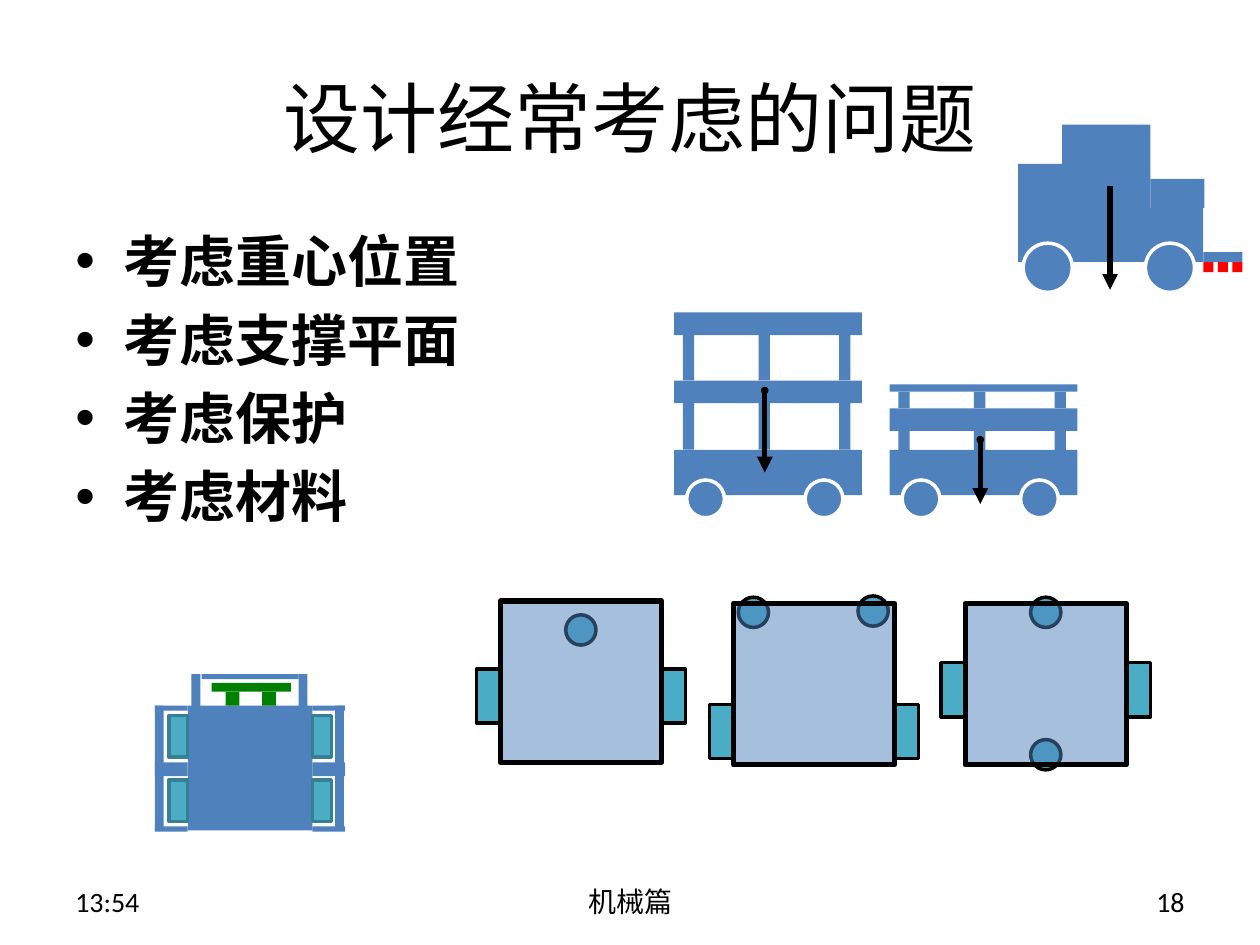
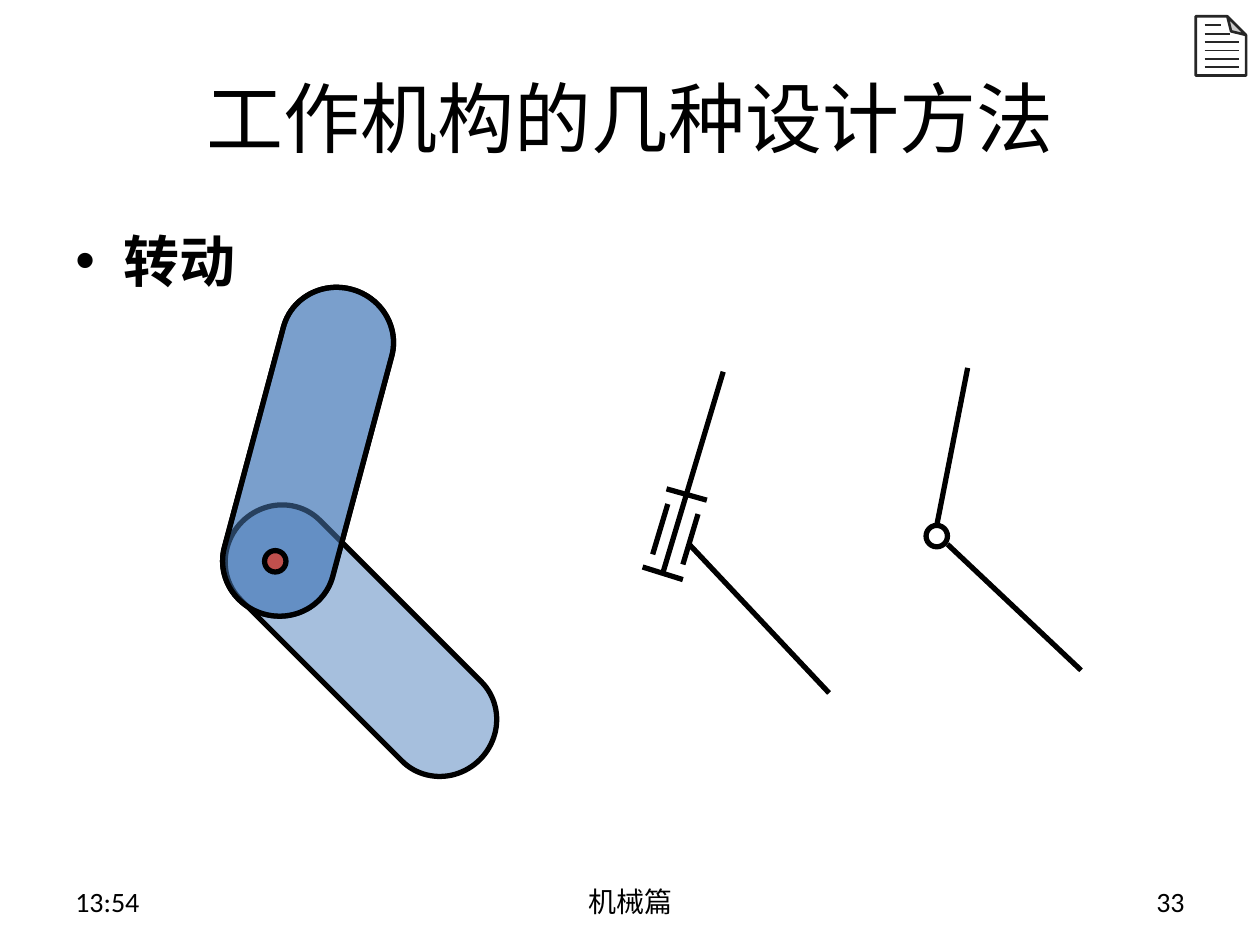
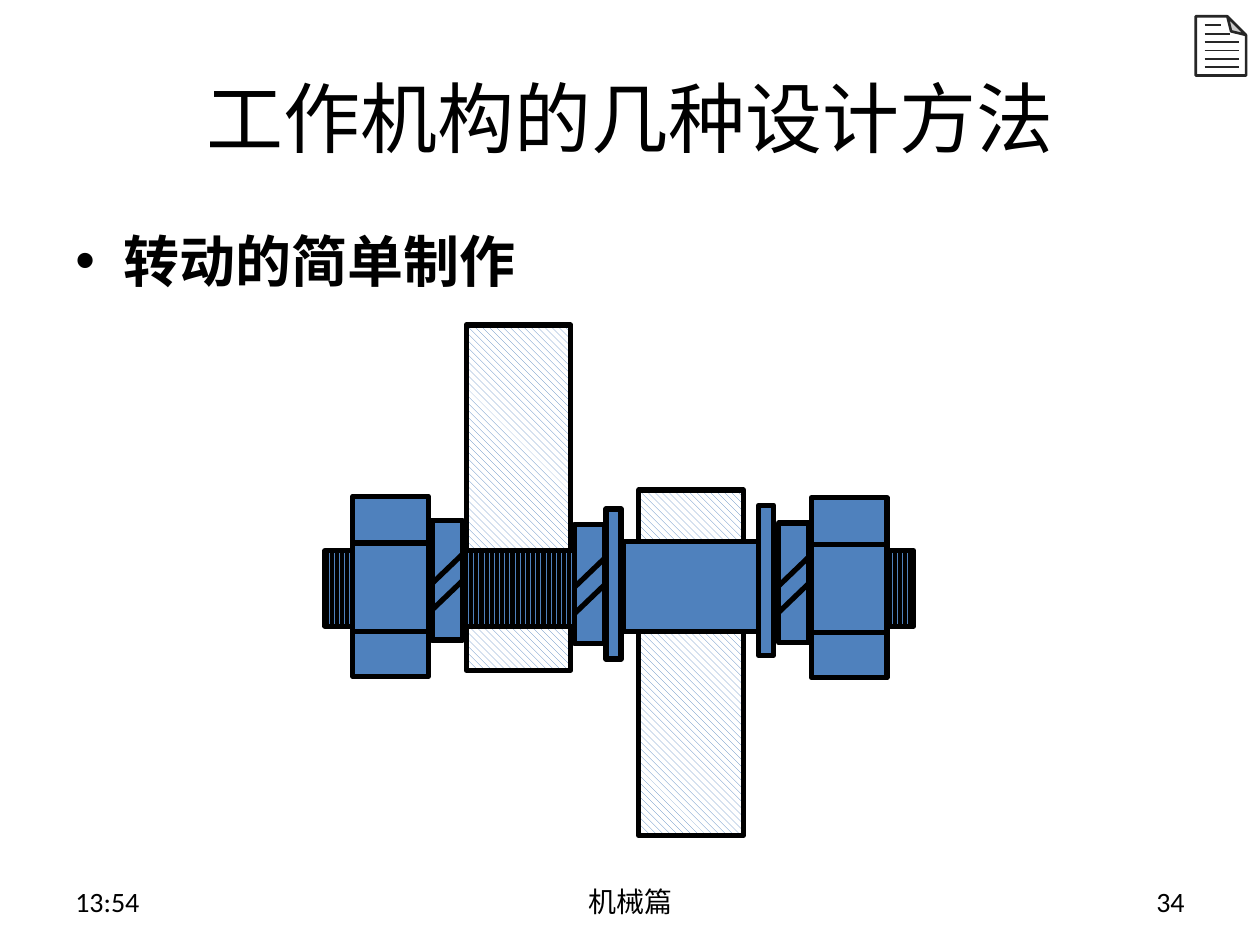
import pptx
import pptx.util
import pptx.dml.color
import pptx.enum.dml
import pptx.enum.shapes
import pptx.enum.text
import pptx.oxml.ns
import lxml.etree

RGBColor = pptx.dml.color.RGBColor
BLUE = RGBColor(0x4F, 0x81, 0xBD)
TEAL = RGBColor(0x4B, 0xAC, 0xC6)
DARK_TEAL = RGBColor(0x37, 0x7F, 0x92)
RED = RGBColor(0xFF, 0x00, 0x00)
BRICK = RGBColor(0xC0, 0x50, 0x4D)
GREEN = RGBColor(0x00, 0x80, 0x00)
INK = RGBColor(0x26, 0x26, 0x26)
BLACK = RGBColor(0x00, 0x00, 0x00)
WHITE = RGBColor(0xFF, 0xFF, 0xFF)

MSO = pptx.enum.shapes.MSO_SHAPE
PATTERN = pptx.enum.dml.MSO_PATTERN
ALIGN = pptx.enum.text.PP_ALIGN
MIDDLE = pptx.enum.text.MSO_ANCHOR.MIDDLE
RECT, OVAL = MSO.RECTANGLE, MSO.OVAL
Inches, Pt, qn = pptx.util.Inches, pptx.util.Pt, pptx.oxml.ns.qn

W, H = 10, 7.5
MARGIN = W * 0.05
INNER = W - 2 * MARGIN
TITLE_FONT, BODY_FONT = "Noto Sans CJK SC", "Calibri"


def box(shapes, kind, x, y, w, h, fill=BLUE, line=None, width=2, alpha=None):
    """Add a preset shape; fill is a colour, None, or (pattern, fore, back)."""
    sp = shapes.add_shape(kind, Inches(x), Inches(y), Inches(w), Inches(h))
    sp.shadow.inherit = False
    if fill is None:
        sp.fill.background()
    elif isinstance(fill, RGBColor):
        sp.fill.solid()
        sp.fill.fore_color.rgb = fill
    else:
        sp.fill.patterned()
        sp.fill.pattern, sp.fill.fore_color.rgb, sp.fill.back_color.rgb = fill
    if alpha is not None:
        clr = sp._element.spPr.find(qn("a:solidFill"))[0]
        lxml.etree.SubElement(clr, qn("a:alpha")).set("val", str(alpha * 1000))
    if line is None:
        sp.line.fill.background()
    else:
        sp.line.color.rgb = line
        sp.line.width = Pt(width)
    return sp


def stroke(shapes, x1, y1, x2, y2, color=BLACK, width=3, arrow=False):
    """Add a straight line, with an arrowhead at its end if asked."""
    cx = shapes.add_connector(pptx.enum.shapes.MSO_CONNECTOR.STRAIGHT,
                              Inches(x1), Inches(y1), Inches(x2), Inches(y2))
    cx.line.color.rgb = color
    cx.line.width = Pt(width)
    if arrow:
        ln = cx.line._get_or_add_ln()
        lxml.etree.SubElement(ln, qn("a:tailEnd")).set("type", "triangle")
    lxml.etree.SubElement(cx._element.spPr, qn("a:effectLst"))
    return cx


prs = pptx.Presentation()
prs.slide_width, prs.slide_height = Inches(W), Inches(H)

# Title, bullets and footer of every slide
METHODS = "工作机构的几种设计方法"
PAGES = [
    ("设计经常考虑的问题", ["考虑重心位置", "考虑支撑平面", "考虑保护", "考虑材料"], "18"),
    (METHODS, ["转动"], "33"),
    (METHODS, ["转动的简单制作"], "34"),
]
for title, bullets, number in PAGES:
    s = prs.slides.add_slide(prs.slide_layouts[5])
    sp = s.shapes.title
    sp.left, sp.top = Inches(MARGIN), Inches(H * 0.04)
    sp.width, sp.height = Inches(INNER), Inches(H / 6)
    tf = sp.text_frame
    tf.text = title
    tf.vertical_anchor = MIDDLE
    p = tf.paragraphs[0]
    p.alignment = ALIGN.CENTER
    r = p.runs[0]
    r.font.size, r.font.name, r.font.color.rgb = Pt(44), TITLE_FONT, BLACK
    lxml.etree.SubElement(r._r.get_or_add_rPr(), qn("a:ea")).set("typeface", TITLE_FONT)

    sp = s.shapes.add_textbox(Inches(MARGIN), Inches(1.75), Inches(INNER), Inches(H * 0.66))
    tf = sp.text_frame
    tf.word_wrap = True
    tf.text = "\n".join(bullets)
    for i, p in enumerate(tf.paragraphs):
        p.space_before = Pt(6.4 if i else 0)
        pPr = p._p.get_or_add_pPr()
        pPr.set("marL", str(Inches(0.38)))
        pPr.set("indent", str(-Inches(0.38)))
        lxml.etree.SubElement(pPr, qn("a:buFont")).set("typeface", "Arial")
        lxml.etree.SubElement(pPr, qn("a:buChar")).set("char", "•")
        f = p.runs[0].font
        f.size, f.name, f.bold, f.color.rgb = Pt(32), BODY_FONT, True, BLACK

    for text, x, w, align in [("13:54", MARGIN, 2.33, ALIGN.LEFT),
                              ("机械篇", 3.42, 3.17, ALIGN.CENTER),
                              (number, W - MARGIN - 2.33, 2.33, ALIGN.RIGHT)]:
        sp = s.shapes.add_textbox(Inches(x), Inches(6.95), Inches(w), Inches(0.4))
        tf = sp.text_frame
        tf.word_wrap = True
        tf.vertical_anchor = MIDDLE
        tf.text = text
        p = tf.paragraphs[0]
        p.alignment = align
        f = p.runs[0].font
        f.size, f.name, f.color.rgb = Pt(16), BODY_FONT, BLACK

considerations, rotation, making = prs.slides

# Truck with a bumper
g = considerations.shapes.add_group_shape().shapes
box(g, RECT, 8.08, 1.65, 1.47, 0.43)
for x in (8.12, 9.09):
    box(g, OVAL, x, 1.93, 0.39, 0.39, BLUE, WHITE)
box(g, RECT, 8.43, 0.99, 0.7, 0.66)
for i in range(3):
    box(g, RECT, 9.55 + 0.115 * i, 2.08, 0.08, 0.08, RED)
box(g, RECT, 9.13, 1.42, 0.43, 0.23)
box(g, RECT, 9.55, 2, 0.31, 0.08)
box(g, RECT, 8.08, 1.3, 0.35, 0.35)
stroke(g, 8.81, 1.48, 8.81, 2.3, arrow=True)

# High and low wagons with their centres of gravity
CHASSIS = 3.57
for x, decks, y1, y2 in [(5.35, [(3.02, 0.18), (2.48, 0.18)], 3.12, 3.75),
                         (7.06, [(3.24, 0.18), (3.05, 0.06)], 3.51, 4)]:
    g = considerations.shapes.add_group_shape().shapes
    box(g, RECT, x, CHASSIS, 1.49, 0.36)
    for dx in (0.1, 1.04):
        box(g, OVAL, x + dx, 3.81, 0.3, 0.3, BLUE, WHITE)
    floor = CHASSIS
    for y, h in decks:
        box(g, RECT, x, y, 1.49, h)
        for dx in (0.07, 0.67, 1.31):
            box(g, RECT, x + dx, y + h, 0.09, floor - y - h)
        floor = y
    stroke(g, x + 0.72, y1, x + 0.72, y2, arrow=True)
    box(g, OVAL, x + 0.69, y1 - 0.05, 0.06, 0.06, BLACK)

# Three wheel arrangements seen from above
SIDE = 1.28
for x, y, wheel_y, casters in [
        (3.97, 4.77, 5.31, [(4.49, 4.88)]),
        (5.82, 4.79, 5.59, [(5.86, 4.74), (6.81, 4.73)]),
        (7.66, 4.79, 5.26, [(8.18, 4.74), (8.18, 5.87)])]:
    g = considerations.shapes.add_group_shape().shapes
    for wheel_x in (x - 0.19, x + SIDE):
        box(g, RECT, wheel_x, wheel_y, 0.19, 0.43, TEAL, BLACK)
    for cx, cy in casters:
        box(g, OVAL, cx, cy, 0.24, 0.24, TEAL, BLACK)
    box(g, RECT, x, y, SIDE, SIDE, BLUE, BLACK, 3, alpha=50)

# Car with protective frame seen from above
g = considerations.shapes.add_group_shape().shapes
box(g, RECT, 1.49, 5.6, 0.99, 0.99)
box(g, RECT, 1.6, 5.35, 0.77, 0.04)
for bar_x, rail_x, wheel_x, post_x in [(1.23, 1.23, 1.34, 1.52), (2.48, 2.66, 2.48, 2.37)]:
    for y, h in [(5.6, 0.04), (6.05, 0.11), (6.56, 0.04)]:
        box(g, RECT, bar_x, y, 0.26, h)
    box(g, RECT, rail_x, 5.6, 0.07, 0.99)
    for y in (5.68, 6.19):
        box(g, RECT, wheel_x, y, 0.15, 0.33, TEAL, DARK_TEAL)
    box(g, RECT, post_x, 5.35, 0.07, 0.26)
box(g, RECT, 1.68, 5.42, 0.63, 0.07, GREEN)
for x in (1.79, 2.08):
    box(g, RECT, x, 5.49, 0.11, 0.11, GREEN)

# Rotating joint: symbol with a pivot circle
g = rotation.shapes.add_group_shape().shapes
pivot = box(g, OVAL, 7.35, 4.17, 0.17, 0.17, None, BLACK, 3)
stroke(g, 7.52, 4.32, 8.58, 5.32)
stroke(g, 7.68, 2.92, 7.43, 4.17).end_connect(pivot, 0)

# Rotating joint: two overlapping arms on a pin
g = rotation.shapes.add_group_shape().shapes
upper, lower = (1.11, 3.14, 285), (1.53, 4.64, 45)
for x, y, angle in (upper, lower, upper):
    sp = box(g, MSO.FLOWCHART_TERMINATOR, x, y, 2.67, 0.89, BLUE, BLACK, 3, alpha=50)
    sp.rotation = angle
box(g, OVAL, 2.1, 4.37, 0.17, 0.17, BRICK, BLACK, 3)

# Rotating joint: symbol with a sleeve
g = rotation.shapes.add_group_shape().shapes
for ends in [(5.74, 2.95, 5.26, 4.55), (5.61, 3.97, 5.29, 3.88), (5.42, 4.6, 5.1, 4.5),
             (5.3, 4, 5.18, 4.4), (5.54, 4.08, 5.42, 4.48), (5.47, 4.32, 6.58, 5.5)]:
    stroke(g, *ends)

# Arms, threaded rod and sleeve of the simple joint
HATCH = (PATTERN.WIDE_DOWNWARD_DIAGONAL, BLUE, WHITE)
THREAD = (PATTERN.DARK_VERTICAL, BLACK, BLUE)
for x, y, w, h, fill in [(3.7, 2.58, 0.83, 2.74, HATCH), (5.07, 3.89, 0.83, 2.74, HATCH),
                         (2.58, 4.37, 4.67, 0.6, THREAD), (4.95, 4.3, 1.07, 0.71, BLUE),
                         (4.81, 4.04, 0.12, 1.19, BLUE), (6.02, 4.01, 0.12, 1.19, BLUE)]:
    box(making.shapes, RECT, x, y, w, h, fill, BLACK, 3)

# Spring washers
for x, y in [(4.56, 4.16), (6.18, 4.15), (3.43, 4.13)]:
    g = making.shapes.add_group_shape().shapes
    box(g, RECT, x, y, 0.24, 0.95, BLUE, BLACK, 3)
    for dy in (0.5, 0.71):
        stroke(g, x, y + dy, x + 0.25, y + dy - 0.24)

# Nuts
for x, y in [(6.44, 3.95), (2.8, 3.94)]:
    g = making.shapes.add_group_shape().shapes
    box(g, RECT, x, y, 0.6, 1.43, BLUE, BLACK, 3)
    for dy in (0.37, 1.07):
        stroke(g, x, y + dy, x + 0.6, y + dy)

# Page icon in the corner of the method slides
for s in (rotation, making):
    g = s.shapes.add_group_shape().shapes
    sp = box(g, MSO.FOLDED_CORNER, 9.49, 0.13, 0.4, 0.47, WHITE, INK, 1.5)
    spPr = sp._element.spPr
    spPr.find(qn("a:xfrm")).set("flipV", "1")
    fold = lxml.etree.SubElement(spPr.find(qn("a:prstGeom")).find(qn("a:avLst")), qn("a:gd"))
    fold.set("name", "adj")
    fold.set("fmla", "val 37200")
    for i, right in enumerate([9.69, 9.76] + [9.83] * 4):
        y = 0.2 + 0.067 * i
        stroke(g, 9.56, y, right, y, INK, 1)

prs.save("out.pptx")
